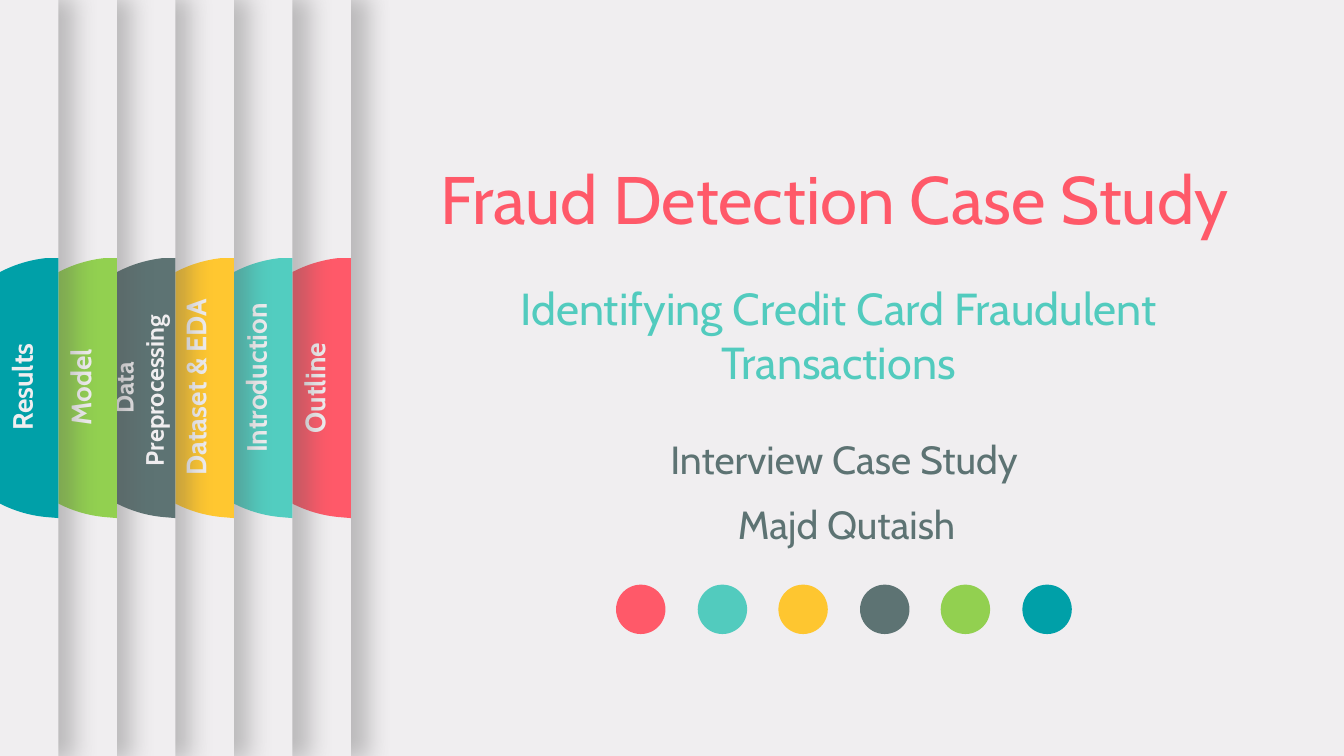
"""Build the cover slide of a fraud detection case study with stacked side tabs."""
from dataclasses import dataclass

from lxml import etree
from pptx import Presentation
from pptx import util as u
from pptx.dml.color import RGBColor
from pptx.enum import shapes, text
from pptx.oxml.ns import qn

PX = 9144
WIDE, HIGH = 1333, 750
FONT = "Cabin"
PAPER = RGBColor(0xF0, 0xEE, 0xF0)
RED = RGBColor(0xFF, 0x59, 0x69)
TEAL = RGBColor(0x52, 0xCB, 0xBE)
MINT = RGBColor(0x52, 0xCD, 0xC0)
GOLD = RGBColor(0xFE, 0xC6, 0x30)
AMBER = RGBColor(0xFF, 0xC7, 0x30)
SLATE = RGBColor(0x5D, 0x73, 0x73)
LIME = RGBColor(0x92, 0xD0, 0x50)
OCEAN = RGBColor(0x00, 0xA0, 0xA8)

STEP = 58
DISC_TOP = 256
DISC_WIDE = 128
DISC = [(128, 0), (128, 258), (116, 257), (0, 129), (116, 0)]
BENDS = [[(51, 251), (0, 196)], [(0, 62), (51, 7)]]


@dataclass(frozen=True)
class Tab:
    """One sliding panel with its coloured label."""

    label: str
    color: RGBColor
    width: int
    mid: int = 384
    inset: int = 36
    size: int = 20
    depth: int = 44


@dataclass(frozen=True)
class Line:
    """One centred line of the cover text."""

    words: str
    color: RGBColor
    size: int
    left: int
    top: int
    height: int


TABS = [
    Tab("Outline", RED, 1365, mid=385),
    Tab("Introduction", MINT, 1252, mid=375),
    Tab("Dataset & EDA", AMBER, 1089, inset=38),
    Tab("Data Preprocessing ", SLATE, 1047, size=18, depth=71),
    Tab("Model", LIME, 951),
    Tab("Results", OCEAN, 1085),
]
DOTS = [RED, TEAL, GOLD, SLATE, LIME, OCEAN]
TOPIC = Line("Identifying Credit Card Fraudulent Transactions", TEAL, 32, 434, 274, 118)
EVENT = Line("Interview Case Study", SLATE, 28, 439, 427, 57)
AUTHOR = Line("Majd Qutaish ", SLATE, 28, 446, 491, 57)


def box(left: int, top: int, width: int, height: int) -> list[u.Emu]:
    """Turn a px box into EMU lengths."""
    return [u.Emu(n * PX) for n in (left, top, width, height)]


def write(shape, words: str, *, size: int, color: RGBColor, bold: bool = False) -> None:
    """Put centred, formatted text into a shape."""
    frame = shape.text_frame
    frame.text = words
    frame.word_wrap = True
    frame.auto_size = text.MSO_AUTO_SIZE.SHAPE_TO_FIT_TEXT
    frame.vertical_anchor = text.MSO_ANCHOR.TOP
    para = frame.paragraphs[0]
    para.alignment = text.PP_ALIGN.CENTER
    font = para.runs[0].font
    font.name, font.size, font.bold = FONT, u.Pt(size), bold
    font.color.rgb = color


def paint(shape, color: RGBColor) -> None:
    """Give a shape a flat fill with no line or shadow."""
    shape.fill.solid()
    shape.fill.fore_color.rgb = color
    shape.line.fill.background()
    shape.shadow.inherit = False


def shade(shape) -> None:
    """Cast a soft, slightly enlarged shadow to the right of a painted shape."""
    effects = shape._element.spPr.find(qn("a:effectLst"))
    glow = etree.SubElement(effects, qn("a:outerShdw"), blurRad=str(u.Pt(17)),
                            dist=str(u.Pt(3)), dir="0", sx="101000", sy="101000",
                            algn="l", rotWithShape="0")
    tone = etree.SubElement(glow, qn("a:srgbClr"), val="595959")
    etree.SubElement(tone, qn("a:alpha"), val="35000")


def add_disc(group, right: int, color: RGBColor) -> None:
    """Draw a half disc whose flat side is at the given x."""
    left = right - DISC_WIDE
    spots = [(left + x, DISC_TOP + y) for x, y in DISC]
    pen = group.build_freeform(*spots[0], scale=PX)
    pen.add_line_segments(spots[1:], close=True)
    disc = pen.convert_to_shape()
    sides = list(disc._element.iter(qn("a:lnTo")))[2:4]
    for side, bend in zip(sides, BENDS):
        side.tag = qn("a:cubicBezTo")
        for n, (x, y) in enumerate(bend):
            side.insert(n, etree.Element(qn("a:pt"), x=str(x), y=str(y)))
    paint(disc, color)


def add_tab(slide, tab: Tab, right: int) -> None:
    """Draw a panel, its half disc and its upright label as a group."""
    group = slide.shapes.add_group_shape().shapes
    panel = group.add_shape(shapes.MSO_SHAPE.RECTANGLE,
                            *box(right - tab.width, 0, tab.width, HIGH))
    paint(panel, PAPER)
    shade(panel)
    add_disc(group, right, tab.color)
    span = 218
    label = group.add_textbox(*box(right - tab.inset - span // 2,
                                   tab.mid - tab.depth // 2, span, tab.depth))
    label.rotation = 270
    write(label, tab.label, size=tab.size, color=PAPER, bold=True)


def add_line(slide, line: Line) -> None:
    """Draw one line of cover text."""
    shape = slide.shapes.add_textbox(*box(line.left, line.top, 796, line.height))
    write(shape, line.words, size=line.size, color=line.color)


def add_dots(slide) -> None:
    """Draw the evenly spaced row of colour dots."""
    group = slide.shapes.add_group_shape().shapes
    for n, color in enumerate(DOTS):
        left = round(611 + 80.6 * n)
        paint(group.add_shape(shapes.MSO_SHAPE.OVAL, *box(left, 580, 49, 49)), color)


def main() -> None:
    """Build and save the slide."""
    deck = Presentation()
    deck.slide_width, deck.slide_height = u.Emu(WIDE * PX), u.Emu(HIGH * PX)
    slide = deck.slides.add_slide(deck.slide_layouts[5])
    slide.background.fill.solid()
    slide.background.fill.fore_color.rgb = PAPER
    title = slide.shapes.title
    title.left, title.top, title.width, title.height = box(350, 151, 955, 91)
    write(title, "Fraud Detection Case Study", size=48, color=RED)
    add_dots(slide)
    add_line(slide, TOPIC)
    add_line(slide, EVENT)
    for n, tab in enumerate(TABS):
        add_tab(slide, tab, STEP * (len(TABS) - n))
    add_line(slide, AUTHOR)
    deck.save("out.pptx")


if __name__ == "__main__":
    main()
